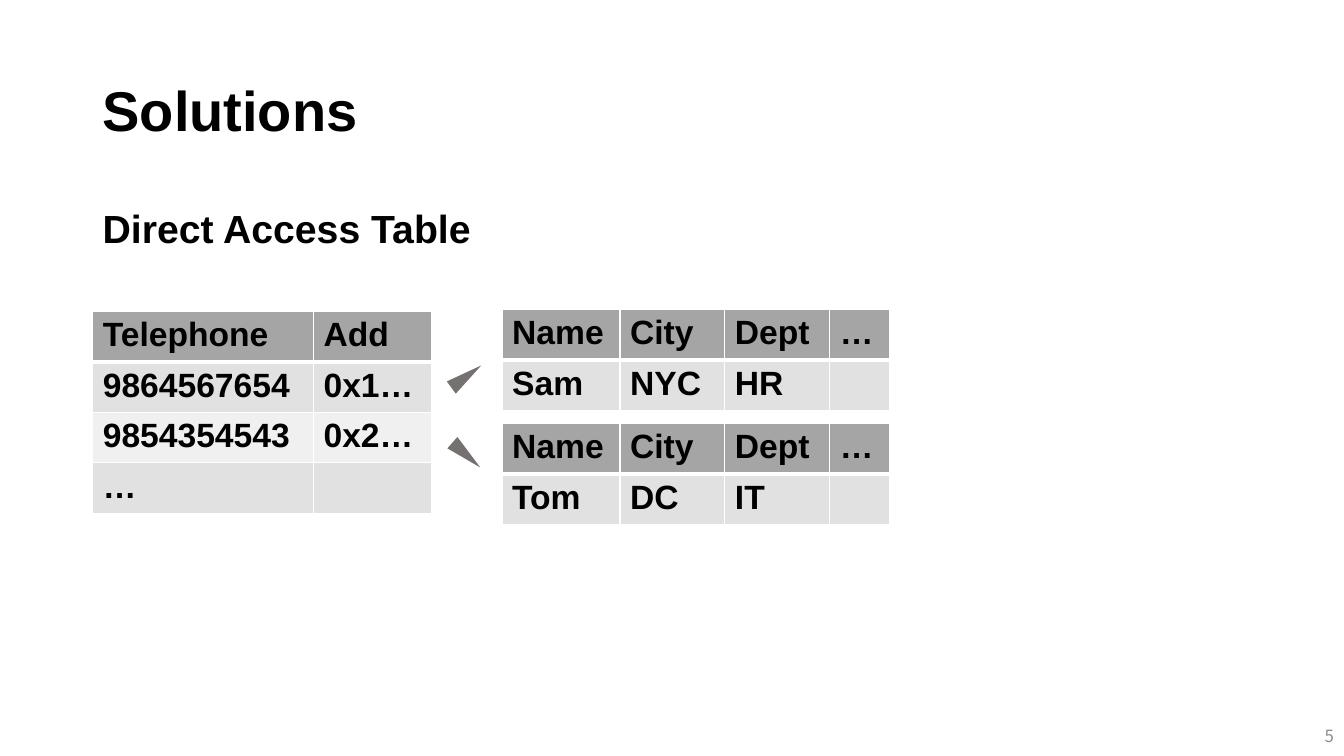
from lxml import etree
from pptx import Presentation
from pptx import util as u
from pptx.dml import color
from pptx.enum import shapes, text
from pptx.oxml import ns

BLACK, WHITE = "000000", "FFFFFF"
HEADER, BANDS = "A5A5A5", ("E1E1E1", "F0F0F0")
RECORD_COLUMNS = (1.17, 1.04, 1.04, 0.59)
RECORD_HEADER = ("Name", "City", "Dept", "…")
ROW_HEIGHT = 0.41


def rgb(value):
    return color.RGBColor.from_string(value)


def box(left, top, width, height):
    return [u.Inches(length) for length in (left, top, width, height)]


def format_text(paragraph, size, font="Arial", fill=BLACK, bold=True):
    for run in paragraph.runs:
        run.font.name = font
        run.font.size = u.Pt(size)
        run.font.bold = bold
        run.font.color.rgb = rgb(fill)


def add_text(slide, place, words, size, spacing=1.0,
             anchor=text.MSO_ANCHOR.TOP, align=text.PP_ALIGN.LEFT, **style):
    frame = slide.shapes.add_textbox(*box(*place)).text_frame
    frame.word_wrap = True
    frame.vertical_anchor = anchor
    frame.text = words
    paragraph = frame.paragraphs[0]
    paragraph.alignment = align
    paragraph.line_spacing = spacing
    format_text(paragraph, size, **style)


def add_borders(cell, bottom):
    properties = cell._tc.get_or_add_tcPr()
    for side, width in (("L", 1), ("R", 1), ("T", 1), ("B", bottom)):
        line = etree.SubElement(properties, ns.qn(f"a:ln{side}"), w=str(u.Pt(width)))
        fill = etree.SubElement(line, ns.qn("a:solidFill"))
        etree.SubElement(fill, ns.qn("a:srgbClr"), val=WHITE)


def add_table(slide, left, top, widths, rows):
    place = box(left, top, sum(widths), ROW_HEIGHT * len(rows))
    table = slide.shapes.add_table(len(rows), len(widths), *place).table
    for column, width in zip(table.columns, widths):
        column.width = u.Inches(width)
    for row_index, row in enumerate(rows):
        table.rows[row_index].height = u.Inches(ROW_HEIGHT)
        is_header = row_index == 0
        for column_index, words in enumerate(row):
            cell = table.cell(row_index, column_index)
            add_borders(cell, bottom=3 if is_header else 1)
            cell.fill.solid()
            cell.fill.fore_color.rgb = rgb(HEADER if is_header else BANDS[(row_index - 1) % 2])
            cell.text_frame.text = words
            format_text(cell.text_frame.paragraphs[0], 24)


def add_pointer(slide, top, rotation):
    shape = slide.shapes.add_shape(
        shapes.MSO_SHAPE.ISOSCELES_TRIANGLE, *box(4.55, top, 0.15, 0.37))
    shape.rotation = rotation
    shape.shadow.inherit = False
    shape.fill.solid()
    shape.fill.fore_color.rgb = rgb("767171")
    shape.line.fill.background()


def main():
    presentation = Presentation()
    presentation.slide_width = u.Inches(13.33)
    presentation.slide_height = u.Inches(7.5)
    slide = presentation.slides.add_slide(presentation.slide_layouts[6])

    # Headings and slide number
    add_text(slide, (0.92, 0.4, 11.5, 1.45), "Solutions", 40, 0.9,
             anchor=text.MSO_ANCHOR.MIDDLE)
    add_text(slide, (0.92, 2.07, 4.73, 0.5), "Direct Access Table", 28, 0.8)
    add_text(slide, (10.33, 7.1, 3, 0.4), "5", 12, anchor=text.MSO_ANCHOR.MIDDLE,
             align=text.PP_ALIGN.RIGHT, font="Noto Sans CJK KR", fill="8C8C8C", bold=False)

    # Lookup table of telephone numbers
    add_table(slide, 0.92, 3.09, (2.19, 1.17), [
        ("Telephone", "Add"),
        ("9864567654", "0x1…"),
        ("9854354543", "0x2…"),
        ("…", ""),
    ])

    # Records that the addresses lead to
    for top, record in ((3.07, ("Sam", "NYC", "HR", "")), (4.2, ("Tom", "DC", "IT", ""))):
        add_table(slide, 4.98, top, RECORD_COLUMNS, [RECORD_HEADER, record])

    # Pointers from addresses to records
    for top, rotation in ((3.55, 53.6), (4.33, 131.7)):
        add_pointer(slide, top, rotation)

    presentation.save("out.pptx")


if __name__ == "__main__":
    main()
